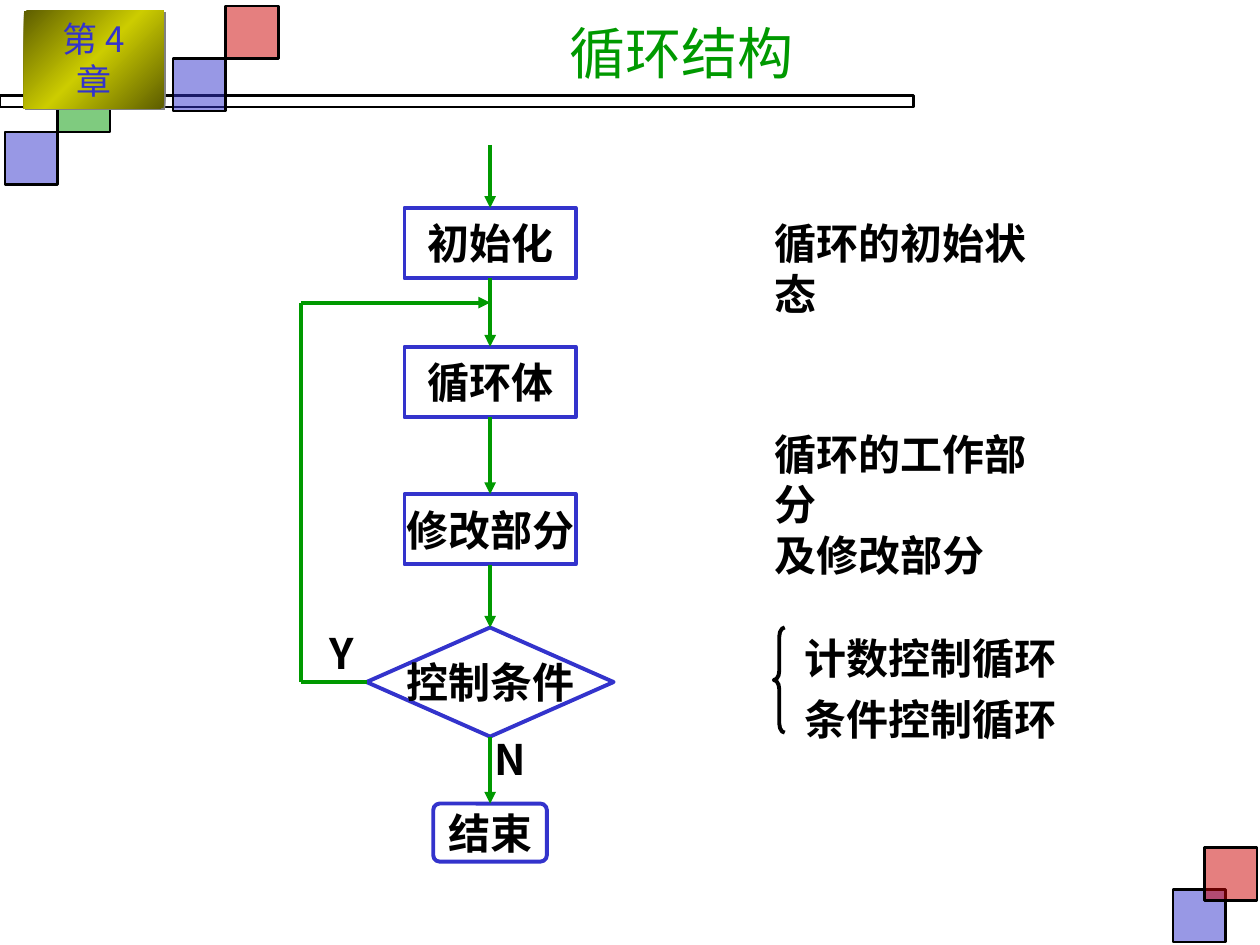
"""Build the loop structure flowchart slide."""
from copy import deepcopy

from pptx import Presentation
from pptx.dml.color import RGBColor
from pptx.enum.shapes import MSO_CONNECTOR as Connector, MSO_SHAPE as Preset
from pptx.enum.text import MSO_ANCHOR as Anchor, PP_ALIGN as Align
from pptx.oxml.ns import qn
from pptx.oxml.xmlchemy import OxmlElement
from pptx.util import Cm, Pt

BLACK = RGBColor(0x00, 0x00, 0x00)
BLUE = RGBColor(0x33, 0x33, 0xCC)
RED = RGBColor(0xCC, 0x00, 0x00)
GREEN = RGBColor(0x00, 0x99, 0x00)
GOLD = RGBColor(0xCC, 0xCC, 0x00)
OLIVE = RGBColor(0x5E, 0x5E, 0x00)
GRAY = RGBColor(0x80, 0x80, 0x80)

TOP, LEFT, BOTTOM = 0, 1, 2
AXIS = 9.88
SQUARE = 1.06


def add_element(parent, tag, **attributes):
    element = OxmlElement(tag)
    for name, value in attributes.items():
        element.set(name, str(value))
    parent.append(element)
    return element


class FlowSlide:
    """Hold the slide and the style of its elements."""

    font = "Noto Sans CJK SC"
    size = 24
    line_width = 2.25

    def __init__(self, slide):
        self.slide = slide

    def set_text(self, shape, text, align=Align.CENTER, anchor=Anchor.MIDDLE, size=size,
                 font=font, color=BLACK, bold=True, wrap=False, inset=(0, 0), gap=0):
        frame = shape.text_frame
        frame.text = text
        frame.word_wrap = wrap
        frame.vertical_anchor = anchor
        frame.margin_left = frame.margin_right = Cm(inset[0])
        frame.margin_top = frame.margin_bottom = Cm(inset[1])
        for index, paragraph in enumerate(frame.paragraphs):
            paragraph.alignment = align
            paragraph.space_before = Pt(gap if index else 0)
            for run in paragraph.runs:
                run.font.size = Pt(size)
                run.font.bold = bold
                run.font.color.rgb = color
                run.font.name = font
                add_element(run.font._element, "a:ea", typeface=self.font)

    def title(self, text, left, top, width, height):
        shape = self.slide.shapes.title
        shape.left, shape.top, shape.width, shape.height = map(Cm, (left, top, width, height))
        self.set_text(shape, text, size=32, font="Roboto", color=GREEN, bold=False,
                      wrap=True, inset=(0.25, 0.13))

    def outline(self, preset, left, top, width, height, color=BLUE, line_width=line_width):
        shape = self.slide.shapes.add_shape(preset, *map(Cm, (left, top, width, height)))
        shape.shadow.inherit = False
        shape.fill.background()
        shape.line.color.rgb = color
        shape.line.width = Pt(line_width)
        return shape

    def square(self, left, top, color):
        shape = self.outline(Preset.RECTANGLE, left, top, SQUARE, SQUARE, BLACK, 1.5)
        shape.fill.solid()
        shape.fill.fore_color.rgb = color
        fill = shape._element.spPr.find(qn("a:solidFill"))
        add_element(fill[0], "a:alpha", val=50000)

    def badge(self, text, left, top, width, height):
        shape = self.outline(Preset.RECTANGLE, left, top, width, height)
        shape.line.fill.background()
        shape.fill.gradient()
        shape.fill.gradient_angle = 315
        properties = shape._element.spPr
        stops = properties.find(".//" + qn("a:gsLst"))
        stops.append(deepcopy(stops[-1]))
        for stop, position, color in zip(shape.fill.gradient_stops, (0, 0.5, 1),
                                         (OLIVE, GOLD, OLIVE)):
            stop.position = position
            stop.color.rgb = color
        shadow = add_element(properties.find(qn("a:effectLst")), "a:outerShdw",
                             dist=Pt(1.4), dir=2700000, algn="ctr", rotWithShape=0)
        add_element(shadow, "a:srgbClr", val=GRAY)
        self.set_text(shape, text, size=20, font="Noto Sans CJK JP", color=BLUE,
                      bold=False, wrap=True, inset=(0.45, 0.13))

    def step(self, text, top, width=3.45, height=1.42, preset=Preset.RECTANGLE):
        shape = self.outline(preset, AXIS - width / 2, top, width, height)
        self.set_text(shape, text)
        return shape

    def label(self, text, left, top, width, height, gap=0):
        shape = self.slide.shapes.add_textbox(*map(Cm, (left, top, width, height)))
        self.set_text(shape, text, align=Align.LEFT, anchor=Anchor.TOP, gap=gap)

    def line(self, start, end, begin=None, finish=None, arrow=True):
        connector = self.slide.shapes.add_connector(Connector.STRAIGHT, *map(Cm, start + end))
        if begin:
            connector.begin_connect(*begin)
        if finish:
            connector.end_connect(*finish)
        connector.line.color.rgb = GREEN
        connector.line.width = Pt(self.line_width)
        if arrow:
            add_element(connector.line._get_or_add_ln(), "a:tailEnd", type="triangle")
        add_element(connector._element.spPr, "a:effectLst")


def main():
    presentation = Presentation()
    presentation.slide_width, presentation.slide_height = Cm(25.4), Cm(19.05)
    flow = FlowSlide(presentation.slides.add_slide(presentation.slide_layouts[5]))

    flow.outline(Preset.RECTANGLE, 0, 1.92, 18.42, 0.24, BLACK, 1.5)
    for left, top, color in ((23.65, 17.93, BLUE), (24.28, 17.09, RED), (3.49, 1.18, BLUE),
                             (0.1, 2.66, BLUE), (1.16, 1.6, GREEN), (4.55, 0.12, RED)):
        flow.square(left, top, color)
    flow.badge("第 4 章", 0.48, 0.22, 2.82, 1.96)
    flow.title("循环结构", 5.38, 0.2, 16.72, 1.7)

    condition = flow.step("控制条件", 12.65, 4.98, 2.2, Preset.DIAMOND)
    end = flow.step("结束", 16.2, 2.29, 1.17, Preset.ROUNDED_RECTANGLE)
    end.adjustments[0] = 0.11
    steps = [flow.step(text, top) for text, top in
             (("初始化", 4.19), ("循环体", 6.99), ("修改部分", 9.96))] + [condition, end]

    entry = (AXIS, 2.92)
    flow.line(entry, (AXIS, 4.19), finish=(steps[0], TOP))
    for upper, lower in zip(steps, steps[1:]):
        flow.line(entry, entry, (upper, BOTTOM), (lower, TOP))

    loop_left, loop_top, loop_bottom = 6.07, 6.1, 13.75
    flow.line((7.39, loop_bottom), (loop_left, loop_bottom), (condition, LEFT), arrow=False)
    flow.line((loop_left, loop_bottom), (loop_left, loop_top), arrow=False)
    flow.line((loop_left, loop_top), (AXIS, loop_top))

    flow.label("Y", 6.65, 12.65, 0.53, 1.02)
    flow.label("N", 9.96, 14.78, 0.69, 1.02)
    flow.label("循环的初始状态", 15.62, 4.39, 5.92, 1.02)
    flow.label("循环的工作部分\n及修改部分", 15.62, 8.64, 5.92, 2.03)
    flow.label("计数控制循环\n条件控制循环", 16.21, 12.75, 5.08, 2.24, gap=6)
    brace = flow.outline(Preset.LEFT_BRACE, 15.6, 12.65, 0.22, 2.12, BLACK)
    brace.adjustments[0] = 0.83

    presentation.save("out.pptx")


if __name__ == "__main__":
    main()
